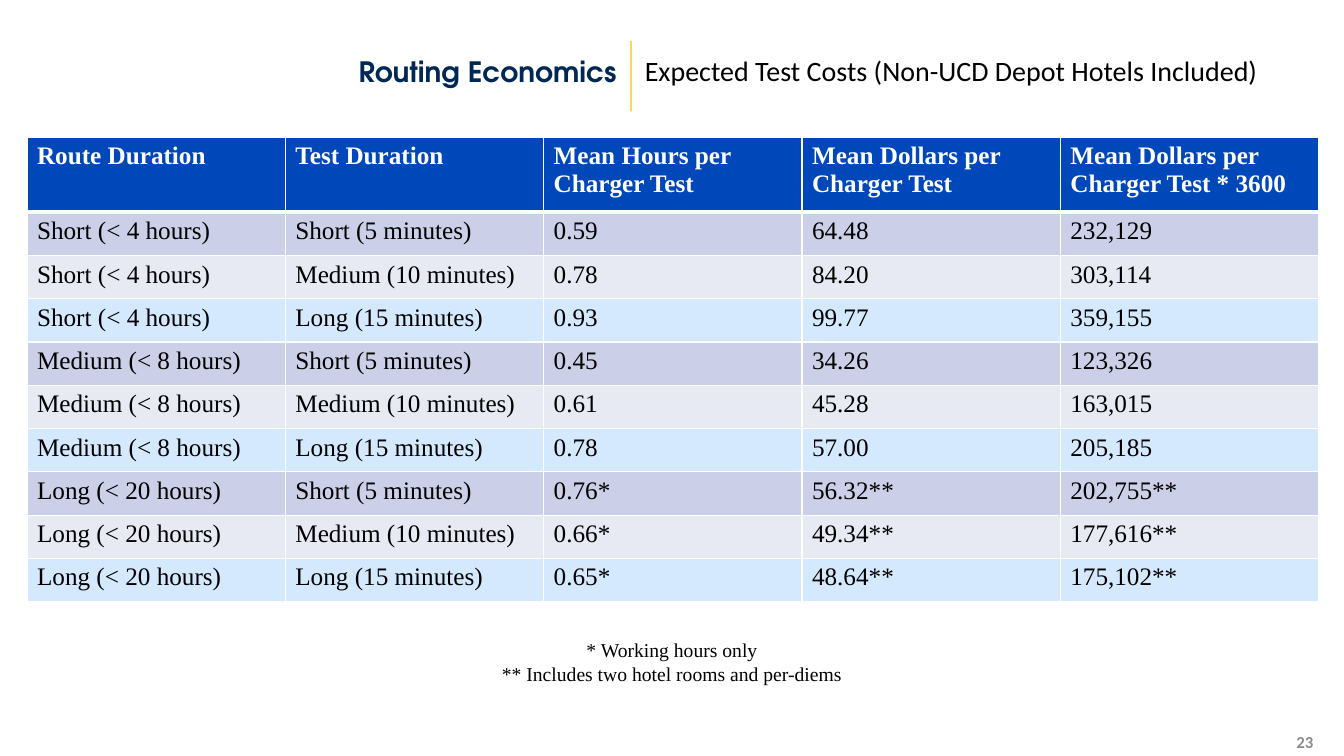
from dataclasses import dataclass
from itertools import product

from lxml import etree
from pptx import Presentation
from pptx.dml.color import RGBColor
from pptx.enum import shapes, text
from pptx.oxml import ns
from pptx.util import Cm, Pt

HUES = {
    "navy": "002855", "gold": "FFBF00", "blue": "0047BA", "white": "FFFFFF",
    "black": "000000", "gray": "8C8C8C",
    "short": "CBCFE7", "medium": "E7E9F3", "long": "D5E9FE",
}
SERIF = "Times New Roman"
LEFT, MID, RIGHT = text.PP_ALIGN.LEFT, text.PP_ALIGN.CENTER, text.PP_ALIGN.RIGHT

HEADS = ["Route Duration", "Test Duration", "Mean Hours per Charger Test",
         "Mean Dollars per Charger Test", "Mean Dollars per Charger Test * 3600"]
ROUTES = ["Short (< 4 hours)", "Medium (< 8 hours)", "Long (< 20 hours)"]
TESTS = {"short": "Short (5 minutes)", "medium": "Medium (10 minutes)",
         "long": "Long (15 minutes)"}
COSTS = [
    ("0.59", "64.48", "232,129"),
    ("0.78", "84.20", "303,114"),
    ("0.93", "99.77", "359,155"),
    ("0.45", "34.26", "123,326"),
    ("0.61", "45.28", "163,015"),
    ("0.78", "57.00", "205,185"),
    ("0.76*", "56.32**", "202,755**"),
    ("0.66*", "49.34**", "177,616**"),
    ("0.65*", "48.64**", "175,102**"),
]
COL, HEAD, ROW = 6.51, 1.9, 1.09


@dataclass
class Font:
    name: str
    size: int
    hue: str
    bold: bool = False


@dataclass
class Label:
    words: str
    left: float
    top: float
    width: float
    height: float
    font: Font
    align: text.PP_ALIGN = LEFT
    anchor: text.MSO_ANCHOR = text.MSO_ANCHOR.MIDDLE
    pitch: float = 1.0


LABELS = [
    Label("Routing Economics", 0.68, 0.89, 15.11, 1.9,
          Font("TeX Gyre Adventor", 20, "navy", True), RIGHT, pitch=0.9),
    Label("Expected Test Costs (Non-UCD Depot Hotels Included)",
          16, 0.89, 17.07, 1.9, Font("Calibri", 20, "black"), pitch=0.8),
    Label("23", 25.73, 18.34, 7.62, 0.71,
          Font("Calibri", 12, "gray", True), RIGHT),
    Label("* Working hours only\n** Includes two hotel rooms and per-diems",
          7.32, 15.95, 19.23, 1.45, Font(SERIF, 14, "black"), MID,
          text.MSO_ANCHOR.TOP),
]


def color(hue: str) -> RGBColor:
    return RGBColor.from_string(HUES[hue])


def style(frame, font: Font) -> None:
    for para in frame.paragraphs:
        for run in para.runs:
            run.font.name = font.name
            run.font.size = Pt(font.size)
            run.font.bold = font.bold
            run.font.color.rgb = color(font.hue)


def write(slide, label: Label) -> None:
    box = slide.shapes.add_textbox(Cm(label.left), Cm(label.top),
                                   Cm(label.width), Cm(label.height))
    frame = box.text_frame
    frame.word_wrap = True
    frame.vertical_anchor = label.anchor
    frame.text = label.words
    for para in frame.paragraphs:
        para.alignment = label.align
        para.line_spacing = label.pitch
    style(frame, label.font)


def edge(cell, widths: dict[str, int]) -> None:
    """Draw white borders, with widths in points by side."""
    props = cell._tc.get_or_add_tcPr()
    for side, width in widths.items():
        line = etree.SubElement(props, ns.qn(f"a:ln{side}"), w=str(Pt(width)))
        fill = etree.SubElement(line, ns.qn("a:solidFill"))
        etree.SubElement(fill, ns.qn("a:srgbClr"), val=HUES["white"])


def fill_row(table, row: int, words: list[str], hue: str, font: Font) -> None:
    for col, word in enumerate(words):
        cell = table.cell(row, col)
        edge(cell, {"L": 1, "R": 1, "T": 3 if row == 1 else 1,
                    "B": 3 if row == 0 else 1})
        cell.fill.solid()
        cell.fill.fore_color.rgb = color(hue)
        cell.text_frame.text = word
        style(cell.text_frame, font)


def add_costs(slide) -> None:
    count = len(COSTS)
    table = slide.shapes.add_table(
        count + 1, len(HEADS), Cm(0.68), Cm(3.45),
        Cm(COL * len(HEADS)), Cm(HEAD + ROW * count)).table
    for col in table.columns:
        col.width = Cm(COL)
    for row in table.rows:
        row.height = Cm(ROW)
    table.rows[0].height = Cm(HEAD)

    fill_row(table, 0, HEADS, "blue", Font(SERIF, 18, "white", True))
    plain = Font(SERIF, 18, "black")
    pairs = product(ROUTES, TESTS)
    for row, ((route, test), costs) in enumerate(zip(pairs, COSTS), 1):
        fill_row(table, row, [route, TESTS[test], *costs], test, plain)


def add_rule(slide) -> None:
    rule = slide.shapes.add_shape(shapes.MSO_SHAPE.RECTANGLE, Cm(15.89),
                                  Cm(1.03), Cm(0.03), Cm(1.78))
    rule.shadow.inherit = False
    rule.fill.solid()
    rule.fill.fore_color.rgb = color("gold")
    rule.line.fill.background()


def main() -> None:
    deck = Presentation()
    deck.slide_width, deck.slide_height = Cm(33.87), Cm(19.05)
    slide = deck.slides.add_slide(deck.slide_layouts[6])
    add_rule(slide)
    add_costs(slide)
    for label in LABELS:
        write(slide, label)
    deck.save("out.pptx")


if __name__ == "__main__":
    main()
